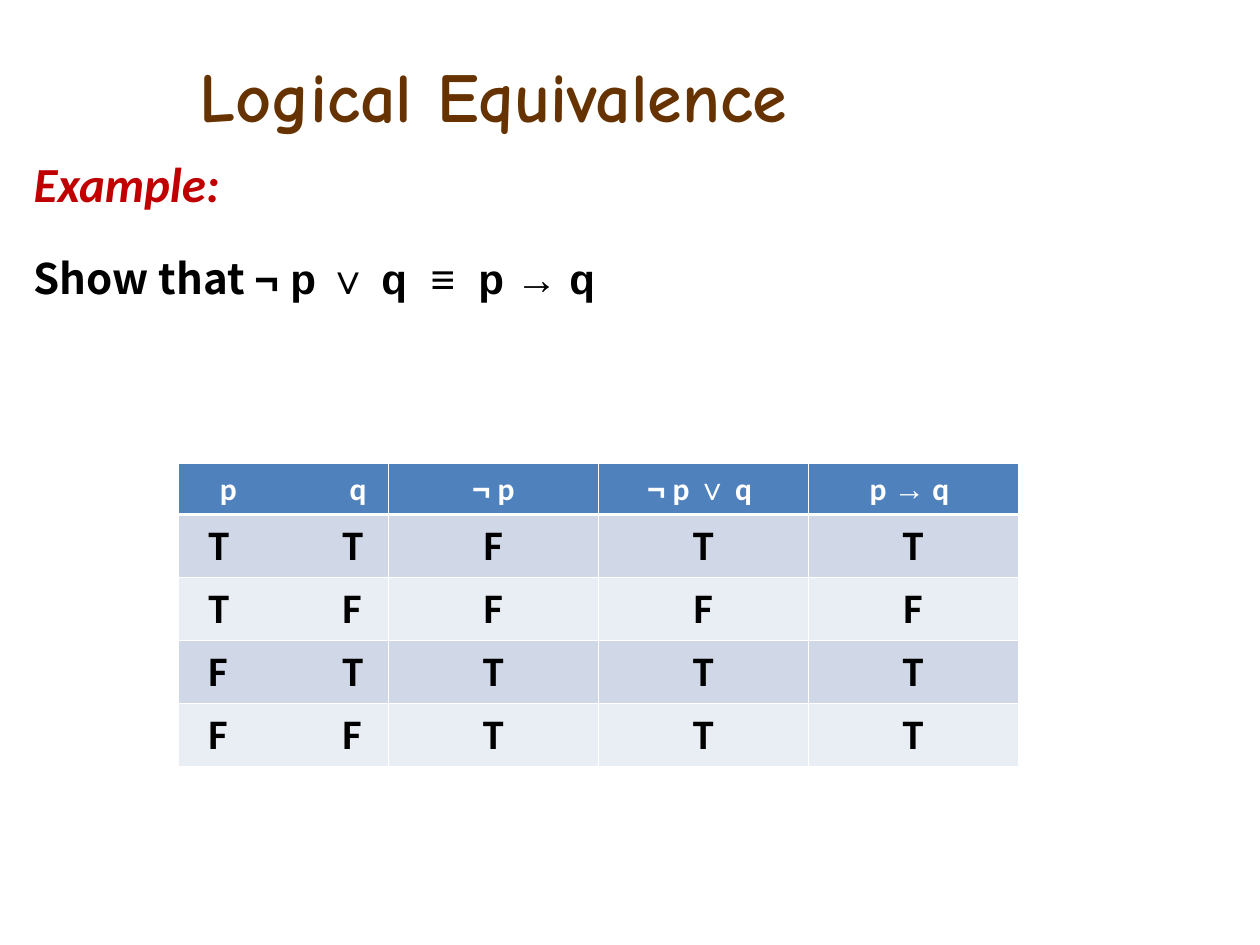
from lxml.etree import SubElement
from pptx import Presentation
from pptx.dml.color import RGBColor
from pptx.enum.text import MSO_ANCHOR, PP_ALIGN
from pptx.oxml import parse_xml
from pptx.oxml.ns import nsdecls, qn
from pptx.util import Cm, Pt

BROWN = RGBColor(0x66, 0x33, 0x00)
RED = RGBColor(0xC0, 0x00, 0x00)
BLACK = RGBColor(0x00, 0x00, 0x00)
WHITE = RGBColor(0xFF, 0xFF, 0xFF)
HEADER_BLUE = RGBColor(0x4F, 0x81, 0xBD)
BANDS = [RGBColor(0xD0, 0xD8, 0xE8), RGBColor(0xE9, 0xED, 0xF4)]

HEADERS = [
    [("p\tq", "Calibri")],
    [("¬", "Arial"), (" p", "Calibri")],
    [("¬", "Arial"), (" p ", "Calibri"), ("∨", "Arial"), (" q ", "Calibri")],
    [("p ", "Calibri"), ("→", "Arial"), (" q ", "Calibri")],
]
TRUTH_ROWS = ["TTFTT", "TFFFF", "FTTTT", "FFTTT"]
THIN, THICK = 0.45, 1.47


def style(p, size, color, name=None, italic=None):
    font = p.font
    font.size, font.bold, font.italic = Pt(size), True, italic
    font.color.rgb = color
    if name:
        font.name = name


def add_runs(p, runs):
    for text, name in runs:
        r = p.add_run()
        r.text, r.font.name = text, name
        if text == " ":
            r.font._element.set("spc", "670")


def add_text_box(slide, left, top, width, height):
    tf = slide.shapes.add_textbox(Cm(left), Cm(top), Cm(width), Cm(height)).text_frame
    tf.word_wrap = True
    return tf


def add_title(slide, text):
    tf = add_text_box(slide, 1.27, 0.64, 22.86, 2.54)
    tf.vertical_anchor = MSO_ANCHOR.MIDDLE
    tf.margin_right = Cm(5.74)
    p = tf.paragraphs[0]
    p.text, p.alignment = text, PP_ALIGN.CENTER
    style(p, 40, BROWN, "Comic Neue")


def add_example(slide):
    tf = add_text_box(slide, 0.43, 2.97, 24.13, 4.5)
    p = tf.paragraphs[0]
    p.text = "Example:"
    style(p, 28, RED, "Calibri", italic=True)
    p = tf.add_paragraph()
    p.space_before = Pt(23)
    style(p, 24, BLACK)
    add_runs(p, [("Show that ", "Noto Sans CJK JP"), ("¬ p ∨ q", "Arial"),
                 (" ", "Arial"), ("≡", "Arial"), (" ", "Arial"), ("p ", "Arial")])
    r = p.add_run()
    r.text, r.font.name, r.font.italic = "→", "Arial", True
    add_runs(p, [(" q", "Arial")])


def set_borders(cell, top, bottom):
    tcPr = cell._tc.get_or_add_tcPr()
    widths = {"lnL": THIN, "lnR": THIN, "lnT": top, "lnB": bottom}
    for i, (tag, width) in enumerate(widths.items()):
        tcPr.insert(i, parse_xml(
            f'<a:{tag} {nsdecls("a")} w="{Pt(width)}"><a:solidFill>'
            f'<a:srgbClr val="{WHITE}"/></a:solidFill></a:{tag}>'))


def add_tab(p, position):
    tabs = SubElement(p._p.get_or_add_pPr(), qn("a:tabLst"))
    SubElement(tabs, qn("a:tab"), pos=str(Cm(position)), algn="l")


def fill_cell(cell, runs, size, color, fill, pair_layout=None):
    cell.fill.solid()
    cell.fill.fore_color.rgb = fill
    p = cell.text_frame.paragraphs[0]
    if pair_layout:
        margin, tab = pair_layout
        cell.margin_left = Cm(margin)
        add_tab(p, tab)
    else:
        p.alignment = PP_ALIGN.CENTER
    style(p, size, color)
    add_runs(p, runs)


def add_truth_table(slide):
    rows, cols = len(TRUTH_ROWS) + 1, len(HEADERS)
    table = slide.shapes.add_table(rows, cols, Cm(3.6), Cm(9.35),
                                   Cm(16.93), Cm(6.12)).table
    for column in table.columns:
        column.width = Cm(4.23)
    for i, row in enumerate(table.rows):
        row.height = Cm(1.27 if i else 1.02)
    for c, runs in enumerate(HEADERS):
        cell = table.cell(0, c)
        fill_cell(cell, runs, 18, WHITE, HEADER_BLUE, None if c else (0.83, 2.62))
        set_borders(cell, THIN, THICK)
    for i, values in enumerate(TRUTH_ROWS):
        texts = ["\t".join(values[:2]), *values[2:]]
        for c, text in enumerate(texts):
            cell = table.cell(i + 1, c)
            fill_cell(cell, [(text, "Calibri")], 24, BLACK, BANDS[i % 2],
                      None if c else (0.6, 2.7))
            set_borders(cell, THIN if i else THICK, THIN)


def main():
    prs = Presentation()
    prs.slide_width, prs.slide_height = Cm(25.4), Cm(19.05)
    slide = prs.slides.add_slide(prs.slide_layouts[6])
    add_example(slide)
    add_title(slide, "Logical Equivalence")
    add_truth_table(slide)
    prs.save("out.pptx")


if __name__ == "__main__":
    main()
